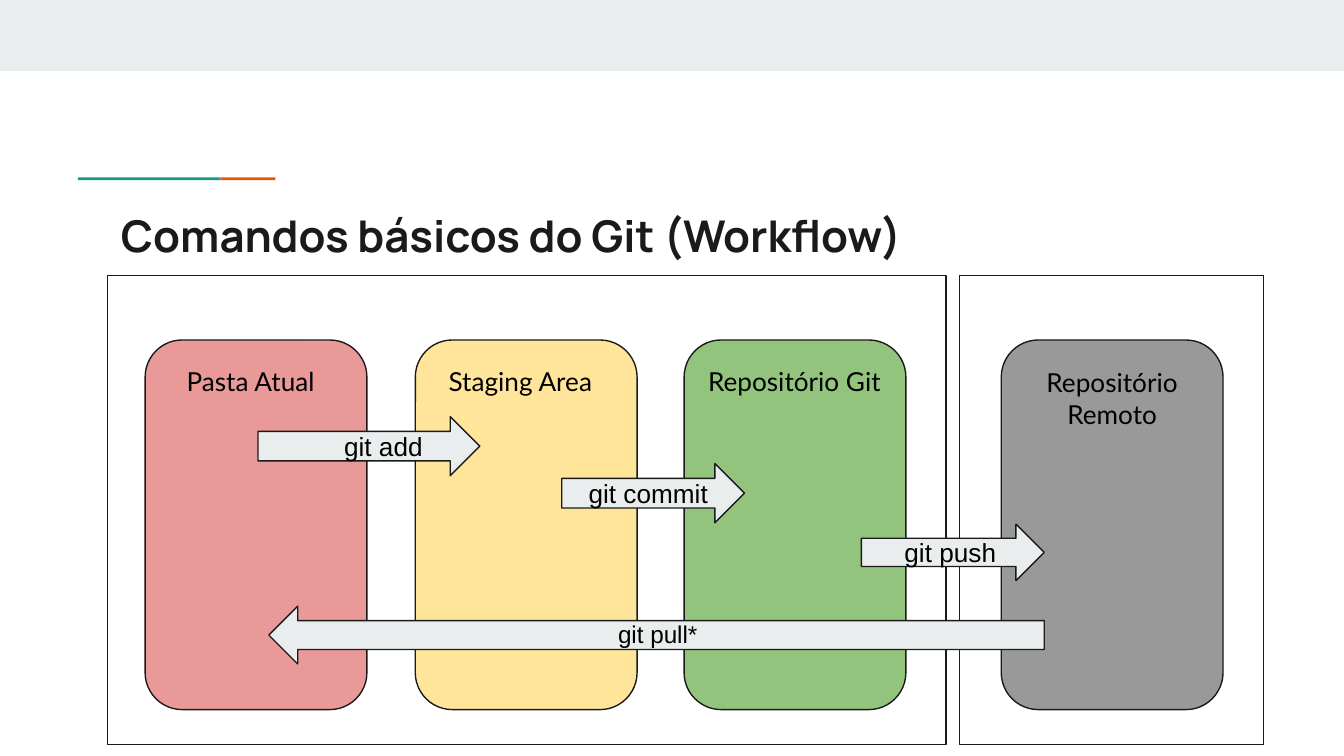
from dataclasses import dataclass

from pptx import Presentation
from pptx.dml.color import RGBColor
from pptx.enum.shapes import MSO_SHAPE
from pptx.enum.text import MSO_ANCHOR, PP_ALIGN
from pptx.util import Inches, Pt

WHITE = RGBColor(0xFF, 0xFF, 0xFF)
BLACK = RGBColor(0x00, 0x00, 0x00)
INK = RGBColor(0x1A, 0x1A, 0x1A)
MIST = RGBColor(0xE9, 0xED, 0xEE)
ORANGE = RGBColor(0xEB, 0x56, 0x00)
TEAL = RGBColor(0x1A, 0x99, 0x88)
RED = RGBColor(0xEA, 0x99, 0x99)
YELLOW = RGBColor(0xFF, 0xE5, 0x99)
GREEN = RGBColor(0x93, 0xC4, 0x7D)
GRAY = RGBColor(0x99, 0x99, 0x99)


@dataclass
class Area:
    left: float
    top: float
    width: float
    height: float

    def lengths(self) -> tuple:
        return tuple(Inches(side) for side in (self.left, self.top, self.width, self.height))


@dataclass
class Stage:
    name: str
    left: float
    color: RGBColor
    label: Area
    align: PP_ALIGN = PP_ALIGN.LEFT


@dataclass
class Command:
    name: str
    area: Area
    indent: float


LOCAL_STAGES = [
    Stage("Pasta Atual", 1.08, RED, Area(1.29, 2.62, 1.23, 0.44)),
    Stage("Staging Area", 3.09, YELLOW, Area(3.24, 2.62, 1.36, 0.44)),
    Stage("Repositório Git", 5.09, GREEN, Area(5.17, 2.62, 1.57, 0.44)),
]
REMOTE_STAGES = [
    Stage("Repositório Remoto", 7.45, GRAY, Area(7.49, 2.63, 1.57, 0.67), PP_ALIGN.CENTER),
]
COMMANDS = [
    Command("git add", Area(1.92, 3.1, 1.65, 0.44), 0.64),
    Command("git commit", Area(4.18, 3.45, 1.36, 0.44), 0.2),
    Command("git push", Area(6.41, 3.9, 1.36, 0.42), 0.32),
]


def add_block(page, kind: MSO_SHAPE, area: Area, color: RGBColor, outlined: bool = True):
    shape = page.shapes.add_shape(kind, *area.lengths())
    shape.shadow.inherit = False
    shape.fill.solid()
    shape.fill.fore_color.rgb = color
    if outlined:
        shape.line.color.rgb = INK
        shape.line.width = Pt(0.75)
    else:
        shape.line.fill.background()
    return shape


def write(shape, text: str, font: str, size: float, color: RGBColor = BLACK,
          align: PP_ALIGN = PP_ALIGN.LEFT, anchor: MSO_ANCHOR = MSO_ANCHOR.TOP,
          indent: float = 0.1, bold: bool = False) -> None:
    frame = shape.text_frame
    frame.word_wrap = True
    frame.vertical_anchor = anchor
    frame.margin_top = frame.margin_bottom = frame.margin_right = Inches(0.1)
    frame.margin_left = Inches(indent)
    para = frame.paragraphs[0]
    para.alignment = align
    span = para.add_run()
    span.text = text
    span.font.name = font
    span.font.size = Pt(size)
    span.font.bold = bold
    span.font.color.rgb = color


def add_label(page, area: Area, text: str, font: str, size: float,
              align: PP_ALIGN = PP_ALIGN.LEFT) -> None:
    box = page.shapes.add_textbox(*area.lengths())
    write(box, text, font, size, align=align)


def add_panel(page, left: float, width: float, stages: list[Stage]) -> None:
    add_block(page, MSO_SHAPE.RECTANGLE, Area(left, 2.05, width, 3.49), WHITE)
    for stage in stages:
        block = add_block(page, MSO_SHAPE.ROUNDED_RECTANGLE,
                          Area(stage.left, 2.53, 1.65, 2.75), stage.color)
        block.adjustments[0] = 0.167
    for stage in stages:
        add_label(page, stage.label, stage.name, "Lato", 14, stage.align)


def add_command(page, command: Command) -> None:
    arrow = add_block(page, MSO_SHAPE.RIGHT_ARROW, command.area, MIST)
    write(arrow, command.name, "Arial", 14, anchor=MSO_ANCHOR.MIDDLE, indent=command.indent)


def add_title(page, text: str) -> None:
    title = page.shapes.title
    title.left, title.top, title.width, title.height = Area(0.8, 1.45, 8.41, 0.59).lengths()
    write(title, text, "Manrope", 23.4, INK, bold=True)


def main() -> None:
    deck = Presentation()
    deck.slide_width = Inches(10)
    deck.slide_height = deck.slide_width * 9 // 16
    page = deck.slides.add_slide(deck.slide_layouts[5])
    page.background.fill.solid()
    page.background.fill.fore_color.rgb = WHITE

    add_block(page, MSO_SHAPE.RECTANGLE, Area(0, 0, 10, 0.53), MIST, outlined=False)
    add_block(page, MSO_SHAPE.RECTANGLE, Area(1.64, 1.32, 0.41, 0.02), ORANGE, outlined=False)
    add_block(page, MSO_SHAPE.RECTANGLE, Area(0.58, 1.32, 1.06, 0.02), TEAL, outlined=False)
    add_title(page, "Comandos básicos do Git (Workflow)")

    add_panel(page, 0.8, 6.24, LOCAL_STAGES)
    add_panel(page, 7.14, 2.26, REMOTE_STAGES)
    for command in COMMANDS:
        add_command(page, command)

    pull = add_block(page, MSO_SHAPE.RIGHT_ARROW, Area(2, 4.51, 5.77, 0.43), MIST)
    pull.rotation = 180
    add_label(page, Area(4.5, 4.51, 0.88, 0.42), "git pull*", "Arial", 13)

    deck.save("out.pptx")


if __name__ == "__main__":
    main()
